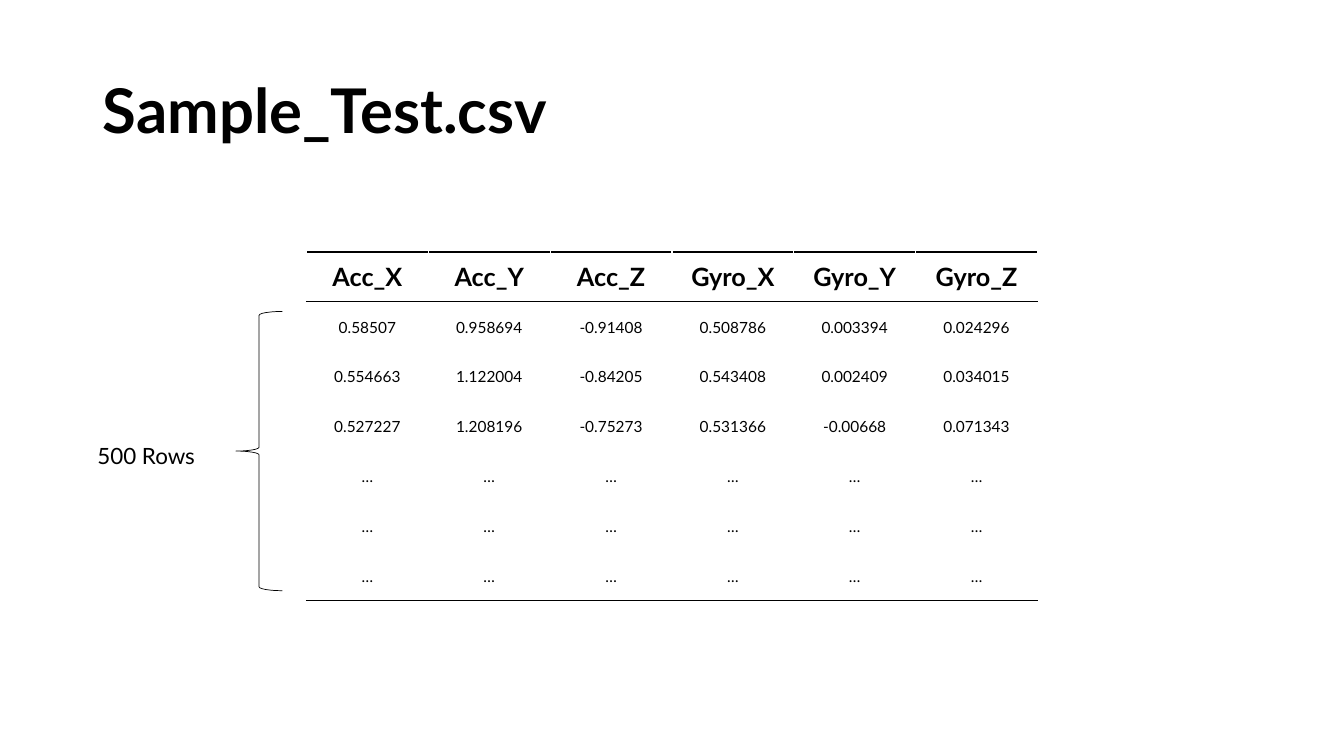
from lxml import etree
from pptx import Presentation
from pptx.dml.color import RGBColor
from pptx.enum.shapes import MSO_SHAPE as Shape
from pptx.enum.text import MSO_ANCHOR as Anchor, PP_ALIGN as Align
from pptx.oxml.ns import qn
from pptx.util import Inches, Pt

# Content
TITLE = "Sample_Test.csv"
ROW_LABEL = "500 Rows"
HEADERS = ["Acc_X", "Acc_Y", "Acc_Z", "Gyro_X", "Gyro_Y", "Gyro_Z"]
SAMPLES = [
    ["0.58507", "0.958694", "-0.91408", "0.508786", "0.003394", "0.024296"],
    ["0.554663", "1.122004", "-0.84205", "0.543408", "0.002409", "0.034015"],
    ["0.527227", "1.208196", "-0.75273", "0.531366", "-0.00668", "0.071343"],
]
ROWS = [HEADERS] + SAMPLES + [["…"] * len(HEADERS)] * 3

# Style and table grid
FONT, BLACK, WHITE = "Lato", "000000", "FFFFFF"
TABLE_LEFT, TABLE_TOP, TABLE_WIDTH, TABLE_HEIGHT = 3.04, 2.5, 7.25, 3.46


def color(value):
    return RGBColor.from_string(value)


def write(frame, text, size=11, bold=False, align=Align.CENTER, anchor=Anchor.MIDDLE):
    frame.word_wrap = True
    frame.vertical_anchor = anchor
    paragraph = frame.paragraphs[0]
    paragraph.alignment = align
    run = paragraph.add_run()
    run.text = text
    run.font.name, run.font.size, run.font.bold = FONT, Pt(size), bold
    run.font.color.rgb = color(BLACK)
    return paragraph


def add_border(cell, side):
    """Add a 1 pt rule; call for the bottom before the top."""
    line = etree.Element(qn(f"a:ln{side}"), w=str(Pt(1)))
    fill = etree.SubElement(line, qn("a:solidFill"))
    etree.SubElement(fill, qn("a:srgbClr"), val=BLACK)
    cell._tc.get_or_add_tcPr().insert(0, line)


def add_title(slide):
    title = slide.shapes.title
    title.left, title.top = Inches(0.92), Inches(0.4)
    title.width, title.height = Inches(11.5), Inches(1.45)
    paragraph = write(title.text_frame, TITLE, size=44, bold=True, align=Align.LEFT)
    paragraph.line_spacing = 0.9


def add_samples(slide):
    table = slide.shapes.add_table(
        len(ROWS), len(HEADERS), Inches(TABLE_LEFT), Inches(TABLE_TOP),
        Inches(TABLE_WIDTH), Inches(TABLE_HEIGHT)).table
    table.first_row = table.horz_banding = False
    for column in table.columns:
        column.width = Inches(TABLE_WIDTH / len(HEADERS))
    for row in table.rows:
        row.height = Inches(TABLE_HEIGHT / len(ROWS))
    last = len(ROWS) - 1
    for row_index, values in enumerate(ROWS):
        header = row_index == 0
        for column_index, value in enumerate(values):
            cell = table.cell(row_index, column_index)
            cell.fill.solid()
            cell.fill.fore_color.rgb = color(WHITE)
            cell.vertical_anchor = Anchor.MIDDLE
            if not header:
                cell.margin_left = cell.margin_right = cell.margin_top = Inches(0.01)
                cell.margin_bottom = 0
            write(cell.text_frame, value, size=18 if header else 11, bold=header)
            if row_index in (0, last):
                add_border(cell, "B")
            if row_index in (0, 1):
                add_border(cell, "T")


def add_row_count(slide):
    label = slide.shapes.add_textbox(Inches(0.45), Inches(4.34), Inches(2), Inches(0.37))
    write(label.text_frame, ROW_LABEL, size=16, anchor=Anchor.TOP)
    brace = slide.shapes.add_shape(
        Shape.LEFT_BRACE, Inches(2.34), Inches(3.09), Inches(0.46), Inches(2.77))
    brace.shadow.inherit = False
    brace.fill.background()
    brace.line.color.rgb = color(BLACK)
    brace.line.width = Pt(0.5)


def main():
    presentation = Presentation()
    presentation.slide_width, presentation.slide_height = Inches(13.33), Inches(7.5)
    slide = presentation.slides.add_slide(presentation.slide_layouts[5])
    add_title(slide)
    add_samples(slide)
    add_row_count(slide)
    presentation.save("out.pptx")


if __name__ == "__main__":
    main()
